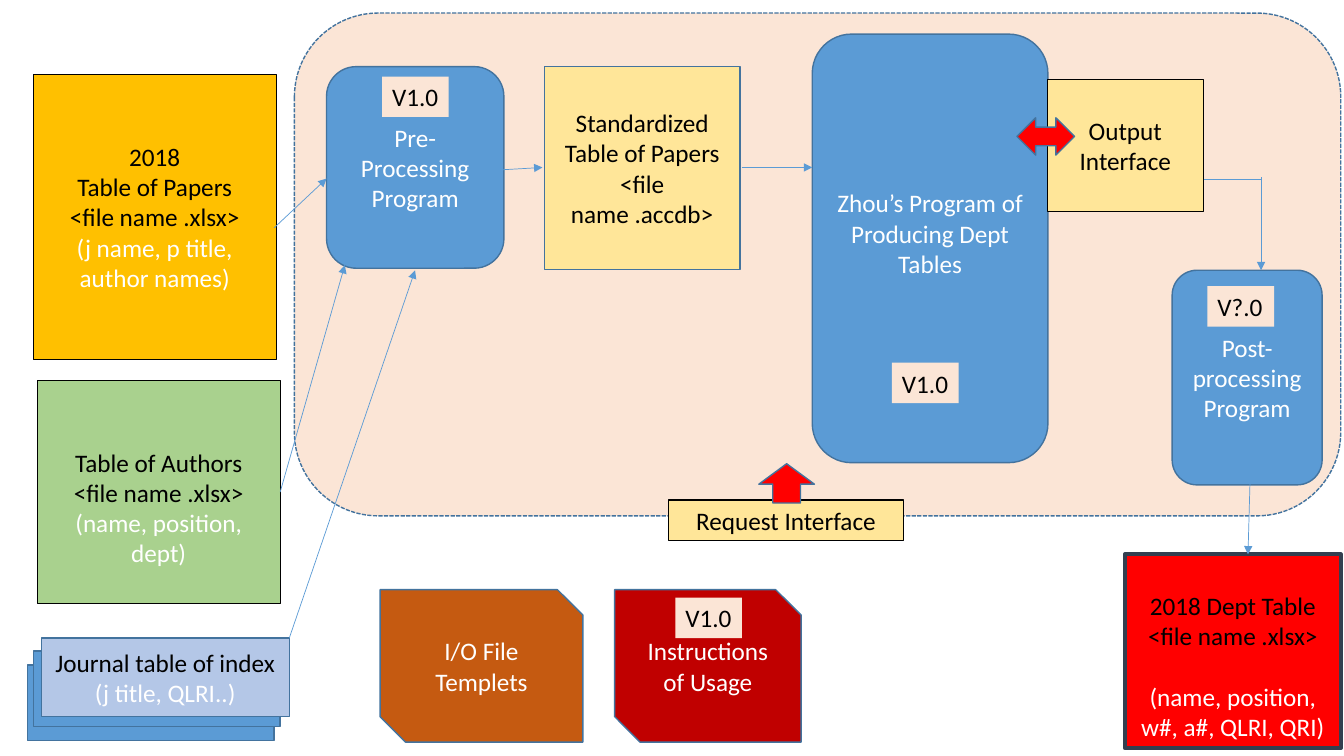
from lxml import etree
from pptx import Presentation
from pptx.dml.color import RGBColor
from pptx.enum.dml import MSO_LINE_DASH_STYLE as Dash
from pptx.enum.shapes import MSO_CONNECTOR, MSO_SHAPE as Preset
from pptx.enum.text import MSO_ANCHOR as Anchor, PP_ALIGN as Align
from pptx.oxml.ns import qn
from pptx.util import Cm, Pt

BLACK, WHITE, RED = "000000", "FFFFFF", "FF0000"
BLUE, EDGE, CREAM, YELLOW = "5B9BD5", "43739E", "FBE5D6", "FFE699"

deck = Presentation()
deck.slide_width, deck.slide_height = Cm(33.87), Cm(19.05)
page = deck.slides.add_slide(deck.slide_layouts[6])


def color(value):
    return RGBColor.from_string(value)


def add_box(preset, place, fill, edge=EDGE, width=1, lines=(), align=Align.CENTER, **frame_format):
    """Draw a filled shape; lines holds (text, colour) pairs."""
    box = page.shapes.add_shape(preset, *[Cm(length) for length in place])
    box.shadow.inherit = False
    box.fill.solid()
    box.fill.fore_color.rgb = color(fill)
    if edge:
        box.line.color.rgb = color(edge)
        box.line.width = Pt(width)
    else:
        box.line.fill.background()
    frame = box.text_frame
    settings = {"word_wrap": True, "vertical_anchor": Anchor.MIDDLE, **frame_format}
    for name, value in settings.items():
        setattr(frame, name, value)
    for index, (text, ink) in enumerate(lines):
        para = frame.paragraphs[0] if index == 0 else frame.add_paragraph()
        para.alignment = align
        span = para.add_run()
        span.text = text
        for name, value in {"name": "Calibri", "size": Pt(18)}.items():
            setattr(span.font, name, value)
        span.font.color.rgb = color(ink)
    return box


# Dashed system boundary
system = add_box(Preset.ROUNDED_RECTANGLE, (7.42, 0.33, 26.37, 12.67), CREAM)
system.line.dash_style = Dash.SQUARE_DOT
system.line._get_or_add_ln().find(qn("a:prstDash")).set("val", "sysDash")

# Input tables
for left, top in ((0.69, 16.76), (0.84, 16.41)):
    add_box(Preset.RECTANGLE, (left, top, 6.22, 1.9), BLUE)
add_box(Preset.RECTANGLE, (1.04, 16.08, 6.25, 1.98), "B4C7E7",
        lines=[("Journal table of index", BLACK), ("(j title, QLRI..)", WHITE)])

top_text = {"vertical_anchor": Anchor.TOP}
add_box(Preset.RECTANGLE, (0.84, 1.88, 6.12, 7.19), "FFC000", BLACK, 0.75,
        [("2018", BLACK), ("Table of Papers", BLACK), ("<file name .xlsx>", BLACK),
         ("(j name, p title, author names)", WHITE)], margin_top=Cm(1.68), **top_text)
add_box(Preset.RECTANGLE, (0.94, 9.58, 6.12, 5.64), "A9D18E", BLACK, 0.75,
        [("Table of Authors", BLACK), ("<file name .xlsx>", BLACK),
         ("(name, position, dept)", WHITE)], margin_top=Cm(1.68), **top_text)

# Programs
add_box(Preset.ROUNDED_RECTANGLE, (20.47, 0.86, 5.94, 10.8), BLUE,
        lines=[("Zhou’s Program of", WHITE), ("Producing Dept Tables", WHITE)],
        margin_bottom=Cm(0.9))
for place, text in (((8.23, 1.68, 4.47, 5.08), "Pre-Processing Program"),
                    ((29.54, 6.81, 3.78, 5.41), "Post-processing Program")):
    add_box(Preset.ROUNDED_RECTANGLE, place, BLUE, lines=[(text, WHITE)])

# Intermediate table, interfaces and result
add_box(Preset.RECTANGLE, (13.72, 1.68, 4.93, 5.11), YELLOW,
        lines=[("Standardized Table of Papers", BLACK), ("<file name .accdb>", BLACK)])
add_box(Preset.RECTANGLE, (26.39, 2.01, 3.94, 3.33), YELLOW, BLACK, 0.75,
        [("Output Interface", BLACK)], margin_top=Cm(0.9), **top_text)
add_box(Preset.RECTANGLE, (16.84, 12.6, 5.94, 1.02), YELLOW, BLACK, 0.75,
        [("Request Interface", BLACK)])
result = add_box(Preset.RECTANGLE, (28.35, 13.97, 5.44, 4.88), RED, "333F50", 3,
                 [("2018 Dept Table", BLACK), ("<file name .xlsx>", BLACK),
                  ("(name, position, w#, a#, QLRI, QRI)", WHITE)],
                 margin_top=Cm(0.9), **top_text)
result.text_frame.paragraphs[-1].space_before = Pt(22)

# Supporting documents
for place, fill, text in (((9.58, 14.86, 5.11, 3.84), "C55A11", "I/O File Templets"),
                          ((15.49, 14.86, 4.7, 3.84), "C00000", "Instructions of Usage")):
    add_box(Preset.SNIP_2_DIAG_RECTANGLE, place, fill, lines=[(text, WHITE)])

# Version badges
for left, top, version in ((9.63, 1.93, "V1.0"), (22.48, 9.14, "V1.0"),
                           (17.02, 15.06, "V1.0"), (30.43, 7.21, "V?.0")):
    add_box(Preset.RECTANGLE, (left, top, 1.68, 1.02), CREAM, None,
            lines=[(version, BLACK)], align=Align.LEFT, word_wrap=False)

# Flow lines: start, end, arrowhead
flows = [
    ((6.91, 5.74), (8.23, 4.5), True),       # papers to pre-processing
    ((7.06, 12.4), (8.69, 6.68), True),      # authors to pre-processing
    ((7.29, 16.08), (10.46, 6.81), True),    # journals to pre-processing
    ((12.45, 4.29), (13.67, 4.22), True),    # pre-processing to standard table
    ((18.69, 4.22), (20.47, 4.22), True),    # standard table to main program
    ((30.33, 4.52), (31.78, 4.52), False),   # output interface, bend
    ((31.78, 4.47), (31.78, 6.81), True),    # bend to post-processing
    ((31.5, 12.19), (31.45, 13.97), True),   # post-processing to result
]
for start, end, has_head in flows:
    ends = [Cm(length) for length in start + end]
    flow = page.shapes.add_connector(MSO_CONNECTOR.STRAIGHT, *ends)
    flow.line.color.rgb = color(BLUE)
    flow.line.width = Pt(0.5)
    if has_head:
        etree.SubElement(flow.line._get_or_add_ln(), qn("a:tailEnd"), type="triangle")
    etree.SubElement(flow._element.spPr, qn("a:effectLst"))

# Red block arrows at the interfaces
add_box(Preset.LEFT_RIGHT_ARROW, (25.63, 2.97, 1.45, 0.94), RED)
request_arrow = add_box(Preset.RIGHT_ARROW, (19.33, 11.48, 0.99, 1.4), RED)
request_arrow.rotation = 270
request_arrow.adjustments[1] = 0.52

deck.save("out.pptx")
